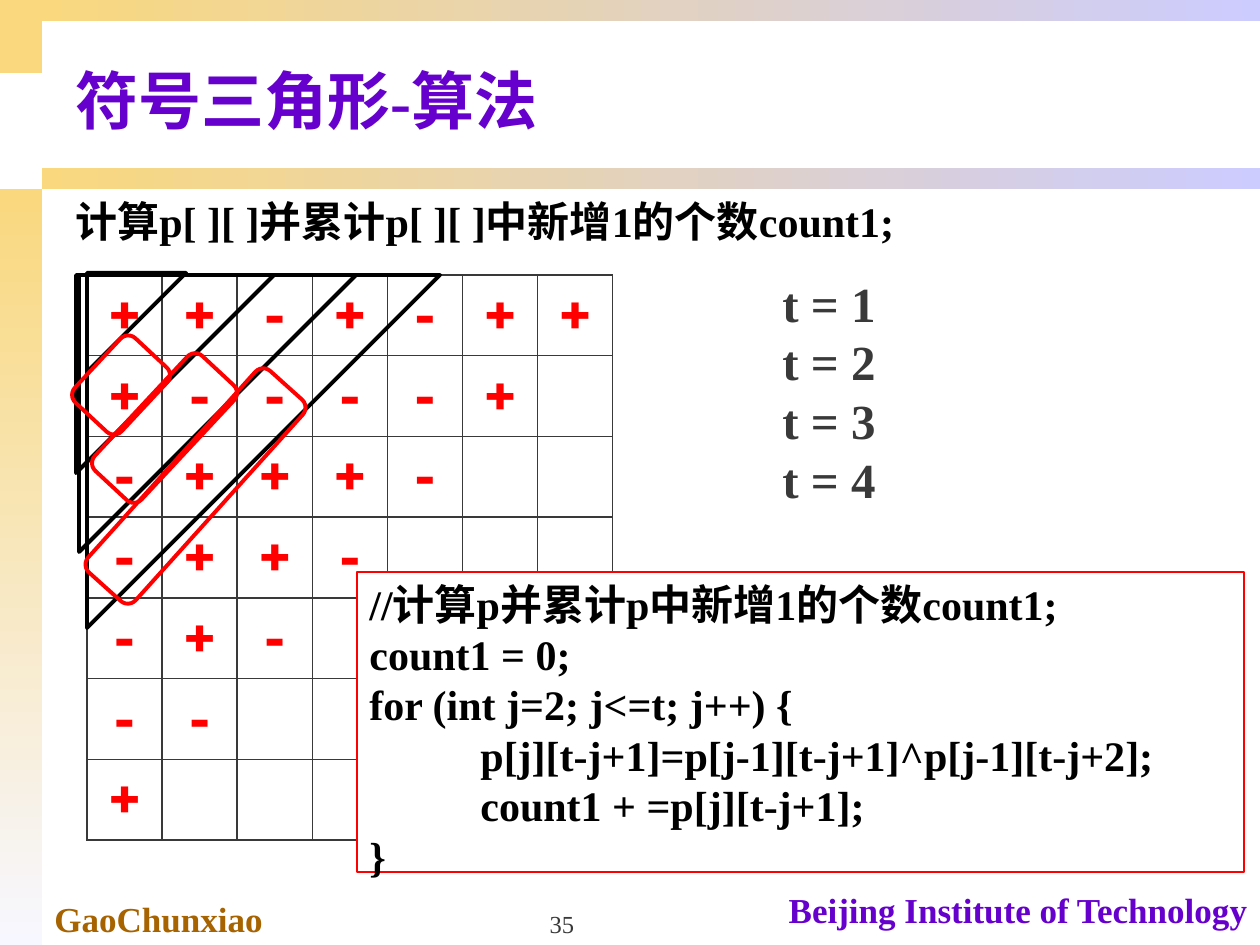
from dataclasses import dataclass
from typing import Optional

import pptx
import pptx.dml.color
import pptx.enum.shapes
import pptx.enum.text
import pptx.oxml
import pptx.oxml.ns
import pptx.util

PX = 914400 / 126
Shape = pptx.enum.shapes.MSO_SHAPE
Align = pptx.enum.text.PP_ALIGN
Anchor = pptx.enum.text.MSO_ANCHOR


@dataclass(frozen=True)
class Theme:
    serif: str = "Times New Roman"
    sign_font: str = "Montserrat"
    gold: str = "F9D87E"
    mist: str = "F7F7FF"
    lilac: str = "CCCCFF"
    brown: str = "A66300"
    purple: str = "6600CC"
    red: str = "FF0000"
    black: str = "000000"
    grey: str = "393939"
    white: str = "FFFFFF"
    title: int = 36
    sign: int = 32
    step: int = 28
    body: int = 24
    footer: int = 20
    number: int = 14
    thick: float = 2.25
    thin: float = 1


THEME = Theme()


@dataclass(frozen=True)
class Frame:
    left: int
    top: int
    width: int
    height: int

    def emu(self) -> list[int]:
        return [px(v) for v in (self.left, self.top, self.width, self.height)]


@dataclass(frozen=True)
class Band:
    frame: Frame
    end: Optional[str] = None
    angle: int = 0


@dataclass(frozen=True)
class Label:
    frame: Frame
    lines: tuple[str, ...]
    size: int
    color: str
    bold: bool = True
    align: Align = Align.LEFT
    anchor: Anchor = Anchor.TOP
    hanging: int = 0


@dataclass(frozen=True)
class Outline:
    kind: Shape
    frame: Frame
    rotation: int
    color: str


def px(value: float) -> int:
    return round(value * PX)


def rgb(color: str) -> pptx.dml.color.RGBColor:
    return pptx.dml.color.RGBColor.from_string(color)


def style_font(font, name: str, size: int, color: str, bold: bool) -> None:
    font.name, font.size, font.bold = name, pptx.util.Pt(size), bold
    font.color.rgb = rgb(color)


def add_band(page, band: Band) -> None:
    bar = page.shapes.add_shape(Shape.RECTANGLE, *band.frame.emu())
    bar.shadow.inherit = False
    bar.line.fill.background()
    if band.end is None:
        bar.fill.solid()
        bar.fill.fore_color.rgb = rgb(THEME.gold)
        return
    bar.fill.gradient()
    bar.fill.gradient_angle = band.angle
    for stop, color in zip(bar.fill.gradient_stops, (THEME.gold, band.end)):
        stop.color.rgb = rgb(color)


def write_label(box, label: Label) -> None:
    text = box.text_frame
    text.word_wrap = True
    text.vertical_anchor = label.anchor
    text.text = "\n".join(label.lines)
    for paragraph in text.paragraphs:
        paragraph.alignment = label.align
        if label.hanging:
            properties = paragraph._p.get_or_add_pPr()
            properties.set("marL", str(px(label.hanging)))
            properties.set("indent", str(-px(label.hanging)))
        for span in paragraph.runs:
            style_font(span.font, THEME.serif, label.size, label.color, label.bold)


def add_label(page, label: Label) -> None:
    write_label(page.shapes.add_textbox(*label.frame.emu()), label)


def add_outline(page, outline: Outline) -> None:
    shape = page.shapes.add_shape(outline.kind, *outline.frame.emu())
    shape.shadow.inherit = False
    shape.rotation = outline.rotation
    shape.fill.background()
    shape.line.color.rgb = rgb(outline.color)
    shape.line.width = pptx.util.Pt(THEME.thick)


def add_code_panel(page, label: Label) -> None:
    panel = page.shapes.add_shape(Shape.RECTANGLE, *label.frame.emu())
    panel.shadow.inherit = False
    panel.fill.solid()
    panel.fill.fore_color.rgb = rgb(THEME.white)
    panel.line.color.rgb = rgb(THEME.red)
    panel.line.width = pptx.util.Pt(THEME.thin)
    write_label(panel, label)


def border_cell(cell) -> None:
    properties = cell._tc.get_or_add_tcPr()
    width = pptx.util.Pt(THEME.thin)
    for place, side in enumerate(("lnL", "lnR", "lnT", "lnB")):
        properties.insert(place, pptx.oxml.parse_xml(
            f'<a:{side} {pptx.oxml.ns.nsdecls("a")} w="{width}"><a:solidFill>'
            f'<a:srgbClr val="{THEME.grey}"/></a:solidFill></a:{side}>'))


def add_sign_table(page, frame: Frame, rows: tuple[str, ...]) -> None:
    count = len(rows)
    table = page.shapes.add_table(count, count, *frame.emu()).table
    table.first_row = table.horz_banding = False
    for i, signs in enumerate(rows):
        table.rows[i].height = px(frame.height / count)
        table.columns[i].width = px(frame.width / count)
        for j, sign in enumerate(signs.ljust(count)):
            cell = table.cell(i, j)
            cell.fill.background()
            border_cell(cell)
            if sign != " ":
                cell.text_frame.text = sign
                paragraph = cell.text_frame.paragraphs[0]
                paragraph.alignment = Align.CENTER
                style_font(paragraph.runs[0].font, THEME.sign_font,
                           THEME.sign, THEME.red, True)


BANDS = (
    Band(Frame(0, 0, 42, 73)),
    Band(Frame(0, 189, 42, 756), THEME.mist, 270),
    Band(Frame(42, 168, 1218, 21), THEME.lilac),
    Band(Frame(42, 0, 1218, 21), THEME.lilac),
)
LABELS = (
    Label(Frame(42, 891, 441, 55), ("GaoChunxiao",), THEME.footer, THEME.brown),
    Label(Frame(766, 882, 494, 54), ("Beijing Institute of Technology",),
          THEME.footer, THEME.purple, align=Align.RIGHT),
    Label(Frame(63, 189, 1197, 683), ("计算p[ ][ ]并累计p[ ][ ]中新增1的个数count1;",),
          THEME.body, THEME.black, hanging=48),
    Label(Frame(63, 32, 1197, 135), ("符号三角形-算法",),
          THEME.title, THEME.purple, anchor=Anchor.MIDDLE),
    Label(Frame(431, 882, 262, 63), ("35",), THEME.number, THEME.grey,
          bold=False, align=Align.CENTER, anchor=Anchor.BOTTOM),
    Label(Frame(770, 267, 384, 251), tuple(f"t = {t}" for t in range(1, 5)),
          THEME.step, THEME.grey),
)
SIGNS = ("++-+-++", "+----+", "-+++-", "-++-", "-+-", "--", "+")
# Growing triangles: left, top, side
TRIANGLES = ((87, 273, 99), (76, 275, 198), (79, 275, 277), (87, 275, 353))
# Diagonal loops around the new signs: left, top, width, rotation
LOOPS = ((77, 353, 88, 133), (86, 396, 157, 133), (60, 454, 271, 132))
CODE = Label(
    Frame(357, 572, 887, 300),
    ("//计算p并累计p中新增1的个数count1;",
     "count1 = 0;",
     "for (int j=2; j<=t; j++) {",
     "\t\tp[j][t-j+1]=p[j-1][t-j+1]^p[j-1][t-j+2];",
     "\t\tcount1 + =p[j][t-j+1];",
     "}"),
    THEME.body, THEME.black, hanging=48)


def main() -> None:
    deck = pptx.Presentation()
    deck.slide_width, deck.slide_height = px(1260), px(945)
    page = deck.slides.add_slide(deck.slide_layouts[6])

    # Background bands and text
    for band in BANDS:
        add_band(page, band)
    for label in LABELS:
        add_label(page, label)

    # Sign table with its triangles and loops
    add_sign_table(page, Frame(87, 275, 526, 565), SIGNS)
    for left, top, side in TRIANGLES:
        add_outline(page, Outline(Shape.RIGHT_TRIANGLE, Frame(left, top, side, side),
                                  90, THEME.black))
    for left, top, width, rotation in LOOPS:
        add_outline(page, Outline(Shape.ROUNDED_RECTANGLE, Frame(left, top, width, 64),
                                  rotation, THEME.red))

    # Code panel over the table
    add_code_panel(page, CODE)
    deck.save("out.pptx")


if __name__ == "__main__":
    main()
